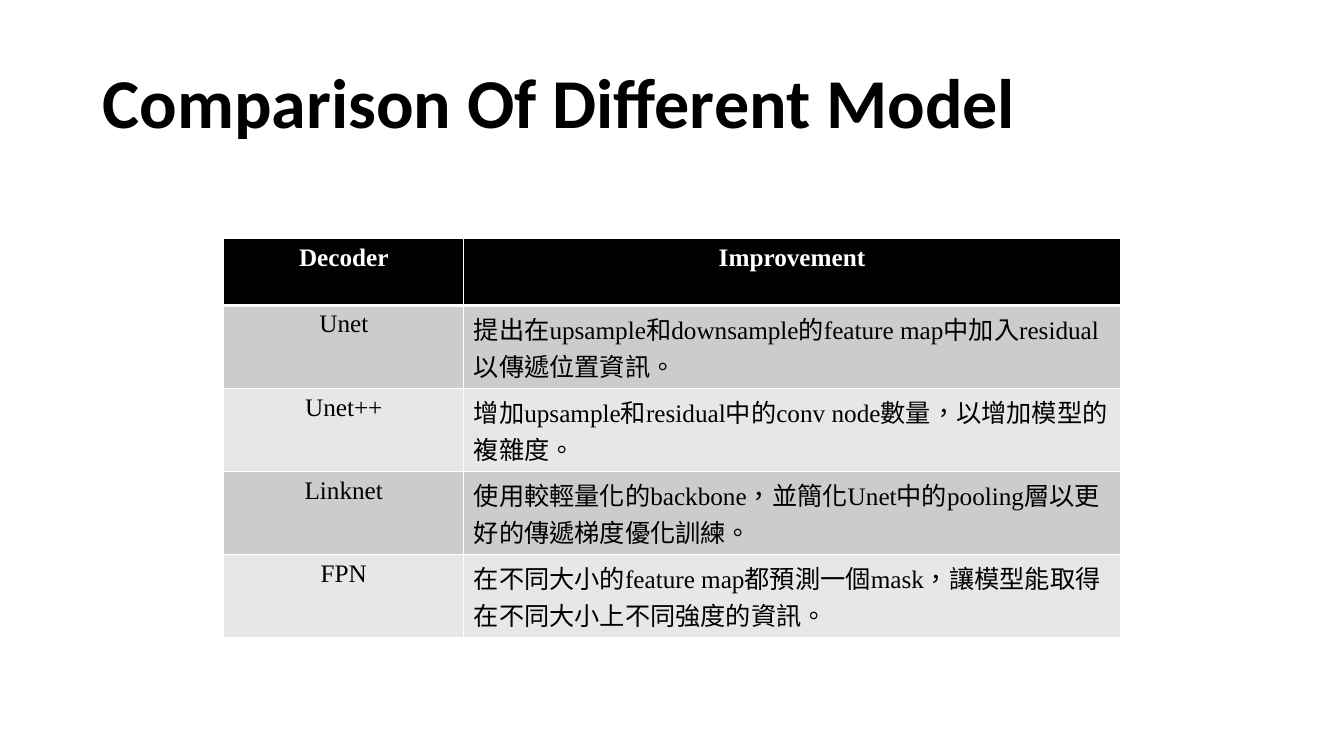
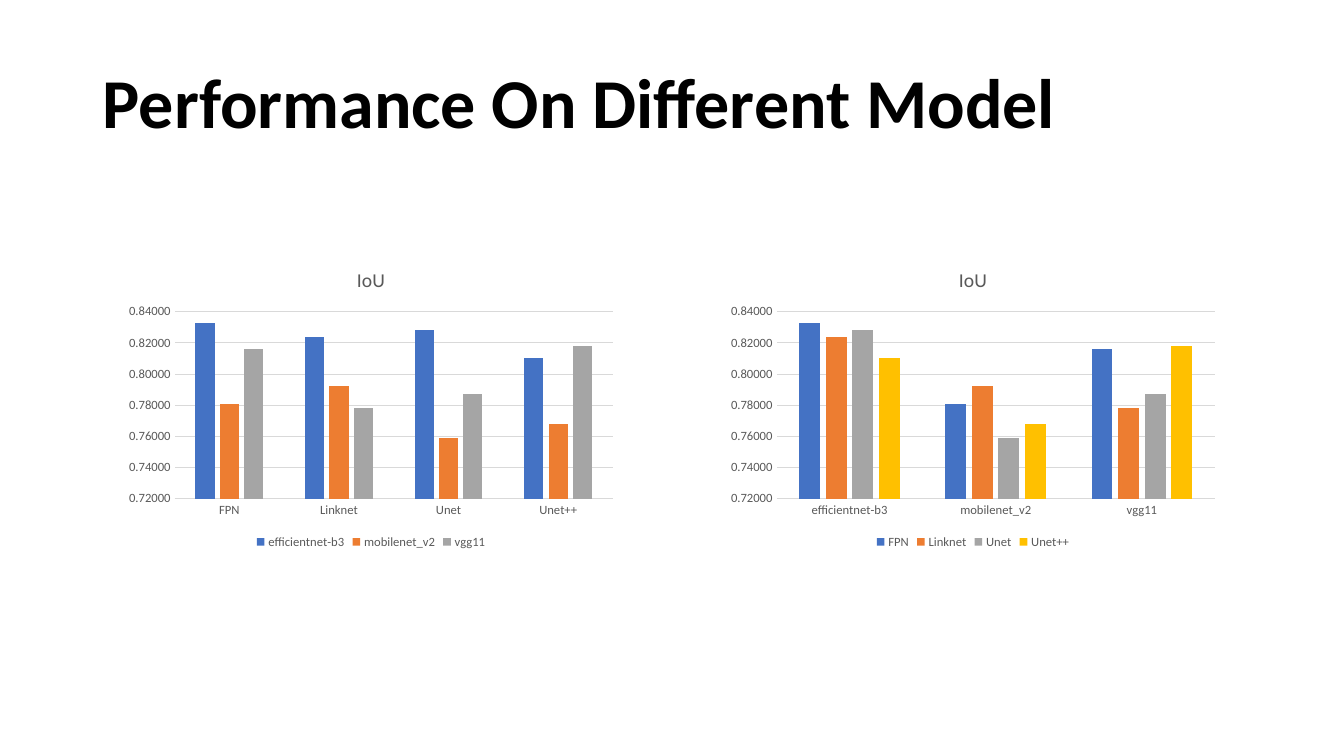
from lxml import etree
from pptx import Presentation
from pptx.chart.data import CategoryChartData
from pptx.dml.color import RGBColor
from pptx.enum.chart import XL_CHART_TYPE, XL_LEGEND_POSITION, XL_TICK_MARK
from pptx.enum.lang import MSO_LANGUAGE_ID
from pptx.enum.text import MSO_ANCHOR, MSO_AUTO_SIZE, PP_ALIGN
from pptx.oxml.ns import qn
from pptx.util import Inches, Pt

COLUMN = XL_CHART_TYPE.COLUMN_CLUSTERED
BOTTOM = XL_LEGEND_POSITION.BOTTOM
NO_TICK = XL_TICK_MARK.NONE
CHINESE = MSO_LANGUAGE_ID.TRADITIONAL_CHINESE
MIDDLE = MSO_ANCHOR.MIDDLE
NO_FIT = MSO_AUTO_SIZE.NONE
LEFT, CENTER = PP_ALIGN.LEFT, PP_ALIGN.CENTER

HEX = {
    "ink": "000000", "paper": "FFFFFF", "dark": "CCCCCC", "light": "E7E7E7",
    "label": "595959", "grid": "D9D9D9",
    "blue": "4472C4", "orange": "ED7D31", "gray": "A5A5A5", "gold": "FFC000",
}
SERIES = ["blue", "orange", "gray", "gold"]
SANS, SERIF = "Calibri", "Times New Roman"
TITLE_BOX = (0.92, 0.32, 11.5, 1.45)

HEADS = ("Decoder", "Improvement")
MODELS = [
    ("Unet", "提出在upsample和downsample的feature map中加入residual以傳遞位置資訊。"),
    ("Unet++", "增加upsample和residual中的conv node數量，以增加模型的複雜度。"),
    ("Linknet", "使用較輕量化的backbone，並簡化Unet中的pooling層以更好的傳遞梯度優化訓練。"),
    ("FPN", "在不同大小的feature map都預測一個mask，讓模型能取得在不同大小上不同強度的資訊。"),
]
DECODERS = ["FPN", "Linknet", "Unet", "Unet++"]
SCORES = {
    "efficientnet-b3": [0.833, 0.824, 0.828, 0.81],
    "mobilenet_v2": [0.781, 0.792, 0.759, 0.768],
    "vgg11": [0.816, 0.778, 0.787, 0.818],
}


def rgb(name):
    return RGBColor.from_string(HEX[name])


def style(font, face, size, color, bold=False):
    font.name, font.size, font.bold = face, Pt(size), bold
    font.color.rgb = rgb(color)


def add_slide(deck, title):
    """Add a slide with the shared title style."""
    slide = deck.slides.add_slide(deck.slide_layouts[5])
    head = slide.shapes.title
    head.left, head.top, head.width, head.height = map(Inches, TITLE_BOX)
    frame = head.text_frame
    frame.vertical_anchor, frame.auto_size = MIDDLE, NO_FIT
    para = frame.paragraphs[0]
    para.alignment, para.line_spacing = LEFT, 0.9
    run = para.add_run()
    run.text = title
    style(run.font, SANS, 50, "ink", True)
    return slide


def set_edges(cell, top, bottom):
    """Draw white cell borders, widths in points."""
    props = cell._tc.get_or_add_tcPr()
    edges = [("lnL", 1), ("lnR", 1), ("lnT", top), ("lnB", bottom)]
    for spot, (tag, width) in enumerate(edges):
        line = etree.Element(qn("a:" + tag), w=str(Pt(width)))
        fill = etree.SubElement(line, qn("a:solidFill"))
        etree.SubElement(fill, qn("a:srgbClr"), val=HEX["paper"])
        props.insert(spot, line)


def add_grid(slide, box, widths, rows):
    """Table with a black head row and banded body rows."""
    frame = slide.shapes.add_table(len(rows), len(widths), *map(Inches, box))
    table = frame.table
    for col, width in zip(table.columns, widths):
        col.width = Inches(width)
    for r, row in enumerate(rows):
        head = r == 0
        band = "ink" if head else "dark" if r % 2 else "light"
        for c, text in enumerate(row):
            cell = table.cell(r, c)
            cell.fill.solid()
            cell.fill.fore_color.rgb = rgb(band)
            set_edges(cell, 3 if r == 1 else 1, 3 if head else 1)
            para = cell.text_frame.paragraphs[0]
            para.alignment = CENTER if head or c == 0 else LEFT
            run = para.add_run()
            run.text = text
            style(run.font, SERIF, 18, "paper" if head else "ink", head)
            if not head and c == 1:
                run.font.language_id = CHINESE


def add_bars(slide, box, cats, series):
    """Column chart of IoU scores."""
    data = CategoryChartData(number_format="0.00000")
    data.categories = cats
    for name, vals in series.items():
        data.add_series(name, vals)
    chart = slide.shapes.add_chart(COLUMN, *map(Inches, box), data).chart
    style(chart.font, SANS, 10, "ink")

    # Title and legend
    chart.has_title = True
    run = chart.chart_title.text_frame.paragraphs[0].add_run()
    run.text = "IoU"
    style(run.font, SANS, 14, "label")
    chart.chart_title.include_in_layout = False
    chart.has_legend = True
    chart.legend.position = BOTTOM
    chart.legend.include_in_layout = False
    style(chart.legend.font, SANS, 9, "label")

    # Axes
    for axis in (chart.category_axis, chart.value_axis):
        axis.major_tick_mark = axis.minor_tick_mark = NO_TICK
        style(axis.tick_labels.font, SANS, 9, "label")
    values = chart.value_axis
    values.minimum_scale, values.maximum_scale = 0.72, 0.84
    values.major_unit = 0.02
    values.tick_labels.number_format = "0.00000"
    values.tick_labels.number_format_is_linked = False
    values.format.line.fill.background()
    for part in (chart.category_axis, values.major_gridlines):
        part.format.line.color.rgb = rgb("grid")
        part.format.line.width = Pt(0.75)

    # Columns
    plot = chart.plots[0]
    plot.gap_width, plot.overlap = 219, -27
    plot.vary_by_categories = False
    for bar, color in zip(plot.series, SERIES):
        bar.format.fill.solid()
        bar.format.fill.fore_color.rgb = rgb(color)


def main():
    deck = Presentation()
    deck.slide_width, deck.slide_height = Inches(13.33), Inches(7.5)

    slide = add_slide(deck, "Comparison Of Different Model")
    add_grid(slide, (2.22, 2.37, 8.89, 3.3), (2.38, 6.51), [HEADS] + MODELS)

    slide = add_slide(deck, "Performance On Different Model")
    add_bars(slide, (1.18, 2.49, 5, 3), DECODERS, SCORES)
    swapped = dict(zip(DECODERS, zip(*SCORES.values())))
    add_bars(slide, (7.15, 2.49, 5, 3), list(SCORES), swapped)

    deck.save("out.pptx")


if __name__ == "__main__":
    main()
